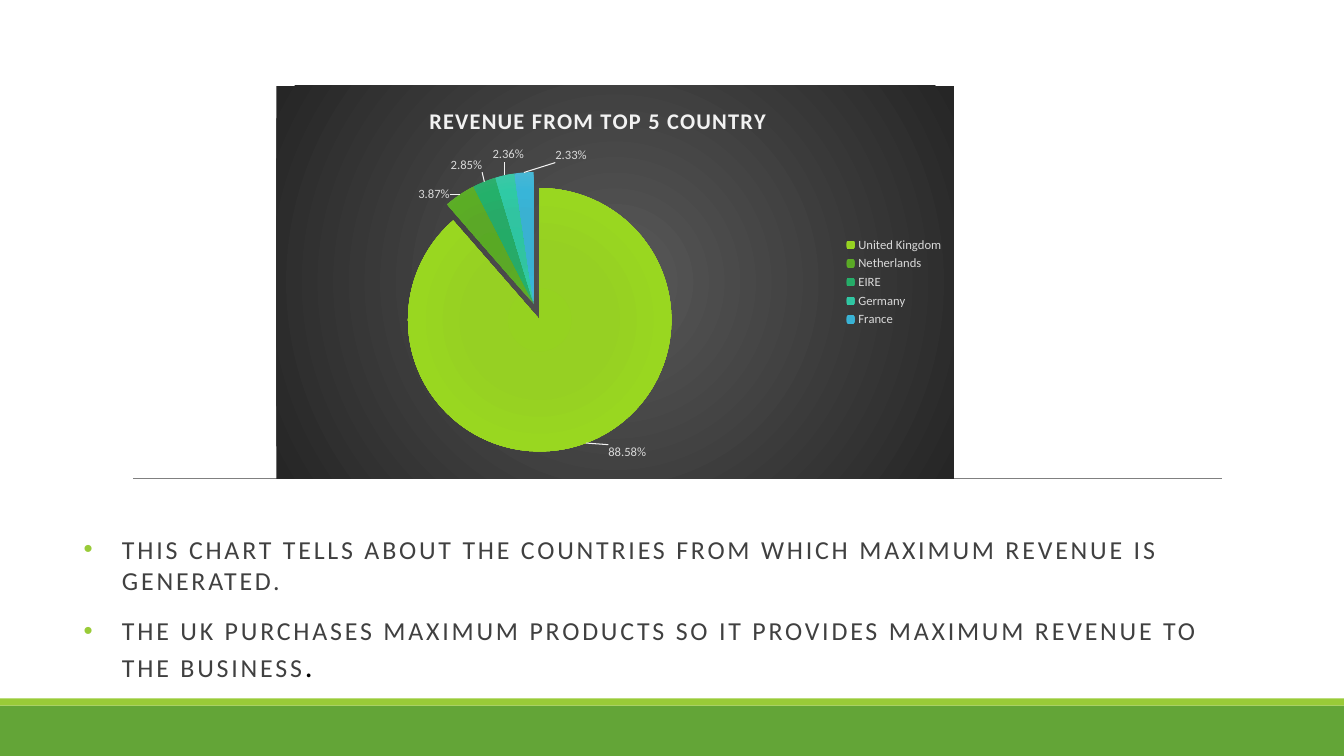
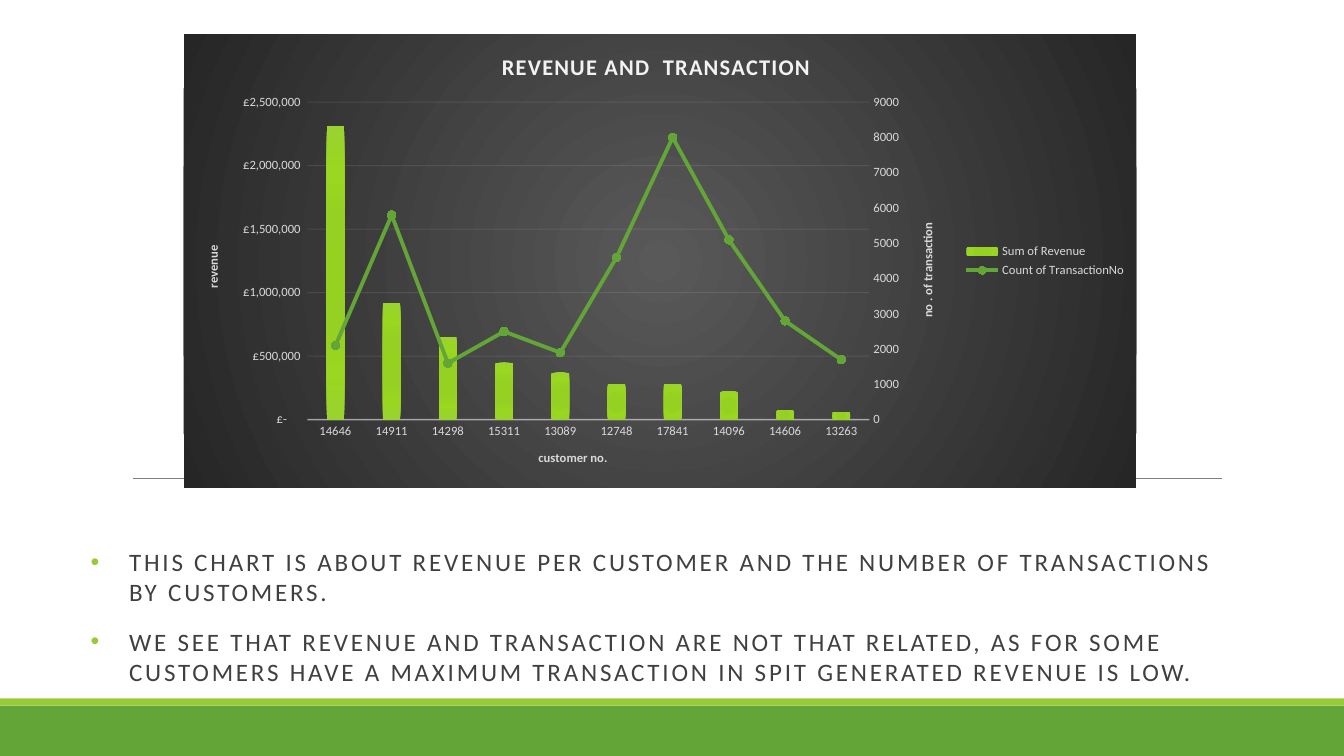
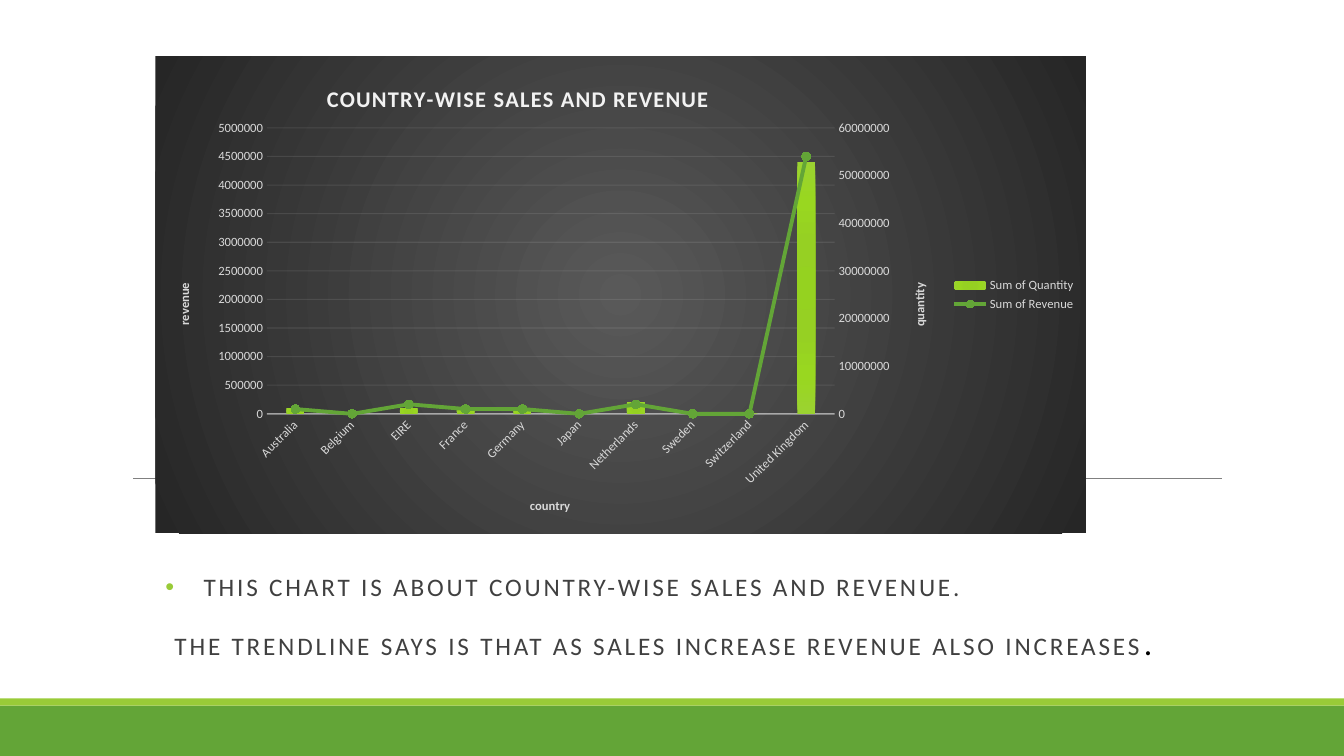
from copy import deepcopy

from lxml import etree
from pptx import Presentation
from pptx.chart.axis import ValueAxis
from pptx.chart.data import CategoryChartData
from pptx.dml.color import RGBColor
from pptx.enum.chart import XL_CHART_TYPE as CT, XL_LABEL_POSITION as LP
from pptx.enum.chart import XL_LEGEND_POSITION, XL_MARKER_STYLE, XL_TICK_MARK
from pptx.enum.shapes import MSO_CONNECTOR, MSO_SHAPE
from pptx.enum.text import MSO_ANCHOR, MSO_AUTO_SIZE
from pptx.oxml import parse_xml
from pptx.oxml.ns import nsdecls, qn
from pptx.util import Inches, Pt

GREEN = RGBColor(0x63, 0xA5, 0x37)
LIME = RGBColor(0x99, 0xCB, 0x38)
MARKER = RGBColor(0x5B, 0xAD, 0x25)
RULE = RGBColor(0x80, 0x80, 0x80)
INK = RGBColor(0x40, 0x40, 0x40)
BLACK = RGBColor(0, 0, 0)
PALE = RGBColor(0xD9, 0xD9, 0xD9)
OFFWHITE = RGBColor(0xF2, 0xF2, 0xF2)
FONT = "Calibri"

PANEL_STOPS = [(0, "595959"), (100, "262626")]
SLICE_STOPS = [
    list(zip((0, 34, 70, 100), shades))
    for shades in (
        ("95D220", "96D023", "99D720", "9BD231"),
        ("59A924", "5BA827", "5BAD25", "62AB31"),
        ("24AB67", "27AA68", "24B06A", "31AD6F"),
        ("2EC5A1", "31C4A1", "2FCAA5", "3EC7A6"),
        ("37B1D3", "3AB1D2", "38B5D8", "48B7D5"),
    )
]
POUNDS = "_-[$£-809]* #,##0_-;\\-[$£-809]* #,##0_-;_-[$£-809]* \"-\"??_-;_-@_-"


def radial(stops, focus):
    """Return a circular gradient fill centred on the focus percentage."""
    gs = "".join(
        f'<a:gs pos="{pos * 1000}"><a:srgbClr val="{rgb}"/></a:gs>' for pos, rgb in stops
    )
    side = focus * 1000
    return parse_xml(
        f'<a:gradFill {nsdecls("a")} rotWithShape="1"><a:gsLst>{gs}</a:gsLst>'
        f'<a:path path="circle"><a:fillToRect l="{side}" t="{side}" r="{side}" b="{side}"/>'
        "</a:path></a:gradFill>"
    )


def c_element(tag, **attrs):
    """Return a bare chart element."""
    return parse_xml(f'<c:{tag} {nsdecls("c")} ' + " ".join(f'{k}="{v}"' for k, v in attrs.items()) + "/>")


def place(node, index, mode="edge", **box):
    """Give a chart part a manual layout as fractions of the chart."""
    for old in node.findall(qn("c:layout")):
        node.remove(old)
    layout = c_element("layout")
    manual = etree.SubElement(layout, qn("c:manualLayout"))
    parts = [("layoutTarget", "inner")] if "w" in box else []
    parts += [("xMode", mode), ("yMode", mode)] + list(box.items())
    for tag, value in parts:
        etree.SubElement(manual, qn(f"c:{tag}")).set("val", str(value))
    node.insert(index, layout)


def set_font(font, size, color, bold=None):
    """Set typeface, size, colour and weight."""
    font.name, font.size, font.bold = FONT, Pt(size), bold
    font.color.rgb = color


def add_band(s, top, height, color):
    """Add a full-width band."""
    sp = s.shapes.add_shape(MSO_SHAPE.RECTANGLE, 0, Inches(top), Inches(13.33), Inches(height))
    sp.shadow.inherit = False
    sp.fill.solid()
    sp.fill.fore_color.rgb = color
    sp.line.fill.background()
    return sp


def add_rule(s):
    """Add the thin line above the text."""
    line = s.shapes.add_connector(
        MSO_CONNECTOR.STRAIGHT, Inches(1.32), Inches(4.75), Inches(12.12), Inches(4.75)
    )
    line.line.color.rgb = RULE
    line.line.width = Pt(0.5)
    etree.SubElement(line.element.spPr, qn("a:effectLst"))
    return line


def dress_layout(layout, s):
    """Move the shared bands and rule onto the layout."""
    for sp in (add_band(s, 7, 0.5, GREEN), add_band(s, 6.93, 0.07, LIME), add_rule(s)):
        layout.shapes.element.append(sp.element)


def add_body(s, left, top, paragraphs):
    """Fill the body placeholder from (is_bullet, runs) paragraphs."""
    body = s.placeholders[1]
    body.left, body.top, body.width, body.height = map(Inches, (left, top, 11.5, 1.64))
    tf = body.text_frame
    tf.auto_size, tf.vertical_anchor, tf.word_wrap = MSO_AUTO_SIZE.NONE, MSO_ANCHOR.TOP, True
    for i, (bullet, runs) in enumerate(paragraphs):
        p = tf.add_paragraph() if i else tf.paragraphs[0]
        p.space_before, p.space_after = Pt(12), Pt(2)
        pPr = p._p.get_or_add_pPr()
        pPr.set("marL", str(Inches(0.38 if bullet else 0.09)))
        pPr.set("indent", str(Inches(-0.38 if bullet else 0)))
        if bullet:
            color = etree.SubElement(pPr, qn("a:buClr"))
            etree.SubElement(color, qn("a:srgbClr")).set("val", str(LIME))
            etree.SubElement(pPr, qn("a:buFont")).set("typeface", "Arial")
            etree.SubElement(pPr, qn("a:buChar")).set("char", "•")
        else:
            etree.SubElement(pPr, qn("a:buNone"))
        for text, size, color in runs:
            r = p.add_run()
            r.text = text
            set_font(r.font, size, color)
            r._r.get_or_add_rPr().set("spc", "200")


def add_panel_chart(s, kind, box, cats, series, title, title_at, plot, fmt="General"):
    """Add a chart on the dark panel with its title and legend."""
    data = CategoryChartData(number_format=fmt)
    data.categories = cats
    for name, values in series:
        data.add_series(name, values)
    chart = s.shapes.add_chart(kind, *map(Inches, box), data).chart
    set_font(chart.font, 10, BLACK)
    chart.has_title = True
    r = chart.chart_title.text_frame.paragraphs[0].add_run()
    r.text = title
    set_font(r.font, 16, OFFWHITE, True)
    r._r.get_or_add_rPr().set("spc", "100")
    place(chart.chart_title._element, 1, x=title_at[0], y=title_at[1])
    chart.has_legend = True
    chart.legend.position = XL_LEGEND_POSITION.RIGHT
    chart.legend.include_in_layout = False
    set_font(chart.legend.font, 9, PALE)
    space = chart.element
    panel = parse_xml(f'<c:spPr {nsdecls("c", "a")}><a:ln><a:noFill/></a:ln></c:spPr>')
    panel.insert(0, radial(PANEL_STOPS, 50))
    space.find(qn("c:chart")).addnext(panel)
    place(space.find(".//" + qn("c:plotArea")), 0, **dict(zip("xywh", plot)))
    return chart


def style_pie(chart, label_shifts):
    """Colour the slices, pull out the first and set the labels."""
    plot = chart.plots[0]
    plot.vary_by_categories = True
    ser = plot.series[0]
    labels = ser.data_labels
    labels.show_value = True
    labels.number_format, labels.number_format_is_linked = "0.00%", False
    set_font(labels.font, 9, PALE)
    for i, (stops, (x, y)) in enumerate(zip(SLICE_STOPS, label_shifts)):
        point = ser.points[i]
        spPr = point.format.fill._xPr
        spPr.insert(0, radial(stops, 100))
        if i == 0:
            spPr.addprevious(c_element("explosion", val=13))
        label = point.data_label
        set_font(label.font, 9, PALE)
        label.position = LP.OUTSIDE_END
        place(label._get_or_add_dLbl(), 1, "factor", x=x, y=y)
    leader = parse_xml(
        f'<c:leaderLines {nsdecls("c", "a")}><c:spPr><a:ln w="9525"><a:solidFill>'
        f'<a:srgbClr val="{OFFWHITE}"/></a:solidFill></a:ln></c:spPr></c:leaderLines>'
    )
    labels._element.append(leader)


def faint_line(line, width, opacity):
    """Draw a partly transparent light line."""
    line.color.rgb = OFFWHITE
    line.width = Pt(width)
    color = line.fill._xPr.find(".//" + qn("a:srgbClr"))
    etree.SubElement(color, qn("a:alpha")).set("val", str(opacity * 1000))


def style_axis(axis, title, at, upright=False):
    """Set an axis title, tick labels and tick marks."""
    axis.major_tick_mark = axis.minor_tick_mark = XL_TICK_MARK.NONE
    set_font(axis.tick_labels.font, 9, PALE)
    tf = axis.axis_title.text_frame
    r = tf.paragraphs[0].add_run()
    r.text = title
    set_font(r.font, 9, PALE, True)
    if upright:
        tf._txBody.bodyPr.set("rot", "-5400000")
        tf._txBody.bodyPr.set("vert", "horz")
    place(axis.axis_title._element, 1, x=at[0], y=at[1])


def style_value_axis(axis, title, at, top, step, fmt):
    """Set a value axis with its scale and number format."""
    style_axis(axis, title, at, True)
    axis.minimum_scale, axis.maximum_scale, axis.major_unit = 0, top, step
    axis.tick_labels.number_format = fmt
    axis.tick_labels.number_format_is_linked = False
    axis.format.line.fill.background()


def add_right_axis(chart):
    """Move the second series to a line plot and return its axis."""
    bars = chart.plots[0]._element
    cat, val = chart.category_axis._element, chart.value_axis._element
    ser = bars.findall(qn("c:ser"))[1]
    for node in ser.findall(qn("c:invertIfNegative")):
        ser.remove(node)
    line = c_element("lineChart")
    line.append(c_element("grouping", val="standard"))
    line.append(c_element("varyColors", val=0))
    line.append(ser)
    line.append(c_element("marker", val=1))
    line.append(c_element("axId", val=5001))
    line.append(c_element("axId", val=5002))
    bars.addnext(line)
    right, hidden = deepcopy(val), deepcopy(cat)
    for axis, own, other in ((hidden, "5001", "5002"), (right, "5002", "5001")):
        axis.find(qn("c:axId")).set("val", own)
        axis.find(qn("c:crossAx")).set("val", other)
    hidden.find(qn("c:delete")).set("val", "1")
    right.find(qn("c:axPos")).set("val", "r")
    right.find(qn("c:crosses")).set("val", "max")
    val.addnext(right)
    right.addnext(hidden)
    axis = ValueAxis(right)
    axis.has_major_gridlines = False
    return axis


def style_combo(chart, cat, left, right, overlap=0, slant=False):
    """Style a column chart whose second series is a line on the right axis."""
    cat_axis, left_axis = chart.category_axis, chart.value_axis
    right_axis = add_right_axis(chart)
    bars, lines = chart.plots
    bars.gap_width, bars.overlap = 219, overlap
    bars.vary_by_categories = False
    bars.series[0].format.fill._xPr.insert(0, radial(SLICE_STOPS[0], 100))
    ser = lines.series[0]
    ser.smooth = False
    ser.format.line.color.rgb = GREEN
    ser.format.line.width = Pt(2.75)
    ser.marker.style, ser.marker.size = XL_MARKER_STYLE.CIRCLE, 6
    ser.marker.format.fill.solid()
    ser.marker.format.fill.fore_color.rgb = MARKER
    ser.marker.format.line.color.rgb = GREEN
    style_axis(cat_axis, *cat)
    faint_line(cat_axis.format.line, 1, 54)
    if slant:
        cat_axis._element.find(qn("c:txPr")).find(qn("a:bodyPr")).set("rot", "-2700000")
    style_value_axis(left_axis, *left)
    faint_line(left_axis.major_gridlines.format.line, 0.75, 10)
    style_value_axis(right_axis, *right)


def add_country_share(s):
    """Build the revenue share slide."""
    chart = add_panel_chart(
        s, CT.PIE, (2.74, 0.85, 6.72, 3.9),
        ["United Kingdom", "Netherlands", "EIRE", "Germany", "France"],
        [("Series 1", [0.8858, 0.0387, 0.0285, 0.0236, 0.0233])],
        "REVENUE FROM TOP 5 COUNTRY", (0.22, 0.04), (0.18, 0.22, 0.4, 0.67), "0.00%",
    )
    style_pie(chart, [(0.03, -0.01), (-0.01, 0.03), (0, -0.01), (0.03, -0.02), (0.07, -0.01)])
    add_body(s, 0.73, 5.24, [
        (True, [("THIS CHART TELLS ABOUT THE COUNTRIES FROM WHICH MAXIMUM REVENUE IS GENERATED.", 18.5, INK)]),
        (True, [("THE UK PURCHASES MAXIMUM PRODUCTS SO IT PROVIDES MAXIMUM REVENUE TO THE BUSINESS", 18.5, INK),
                (".", 22.2, BLACK)]),
    ])


def add_customer_revenue(s):
    """Build the revenue per customer slide."""
    chart = add_panel_chart(
        s, CT.COLUMN_CLUSTERED, (1.82, 0.34, 9.45, 4.5),
        ["14646", "14911", "14298", "15311", "13089", "12748", "17841", "14096", "14606", "13263"],
        [("Sum of Revenue",
          [2310000, 920000, 650000, 450000, 370000, 280000, 280000, 220000, 70000, 60000]),
         ("Count of TransactionNo",
          [2100, 5800, 1600, 2500, 1900, 4600, 8000, 5100, 2800, 1700])],
        "REVENUE AND  TRANSACTION", (0.33, 0.03), (0.13, 0.15, 0.59, 0.7),
    )
    style_combo(
        chart, ("customer no.", (0.37, 0.91)),
        ("revenue", (0.02, 0.46), 2500000, 500000, POUNDS),
        ("no . of transaction", (0.77, 0.41), 9000, 1000, "0"),
    )
    add_body(s, 0.8, 5.37, [
        (True, [("THIS CHART IS ABOUT REVENUE PER CUSTOMER AND THE NUMBER OF TRANSACTIONS BY CUSTOMERS.", 17.9, INK)]),
        (True, [("WE SEE THAT REVENUE AND TRANSACTION ARE NOT THAT RELATED, AS FOR SOME CUSTOMERS "
                 "HAVE A MAXIMUM TRANSACTION IN SPIT GENERATED REVENUE IS LOW.", 17.9, INK)]),
    ])


def add_country_sales(s):
    """Build the sales and revenue by country slide."""
    chart = add_panel_chart(
        s, CT.COLUMN_CLUSTERED, (1.54, 0.56, 9.23, 4.73),
        ["Australia", "Belgium", "EIRE", "France", "Germany", "Japan", "Netherlands",
         "Sweden", "Switzerland", "United Kingdom"],
        [("Sum of Quantity", [100000, 0, 100000, 100000, 100000, 0, 200000, 0, 0, 4400000]),
         ("Sum of Revenue", [1000000, 0, 2000000, 1000000, 1000000, 0, 2000000, 0, 0, 54000000])],
        "COUNTRY-WISE SALES AND REVENUE", (0.18, 0.05), (0.12, 0.15, 0.61, 0.6),
    )
    style_combo(
        chart, ("country", (0.4, 0.92)),
        ("revenue", (0.02, 0.47), 5000000, 500000, "0"),
        ("quantity", (0.81, 0.47), 60000000, 10000000, "0"),
        overlap=-27, slant=True,
    )
    add_body(s, 1.54, 5.62, [
        (True, [("THIS CHART IS ABOUT COUNTRY-WISE SALES AND REVENUE.", 18, INK)]),
        (False, [("THE TRENDLINE SAYS IS THAT AS SALES INCREASE REVENUE ALSO INCREASES", 18, INK),
                 (".", 24, BLACK)]),
    ])


def main():
    """Build and save the presentation."""
    prs = Presentation()
    prs.slide_width, prs.slide_height = Inches(13.33), Inches(7.5)
    layout = prs.slide_layouts[1]
    for i, build in enumerate((add_country_share, add_customer_revenue, add_country_sales)):
        s = prs.slides.add_slide(layout)
        title = s.shapes.title.element
        title.getparent().remove(title)
        if i == 0:
            dress_layout(layout, s)
        build(s)
    prs.save("out.pptx")


main()
